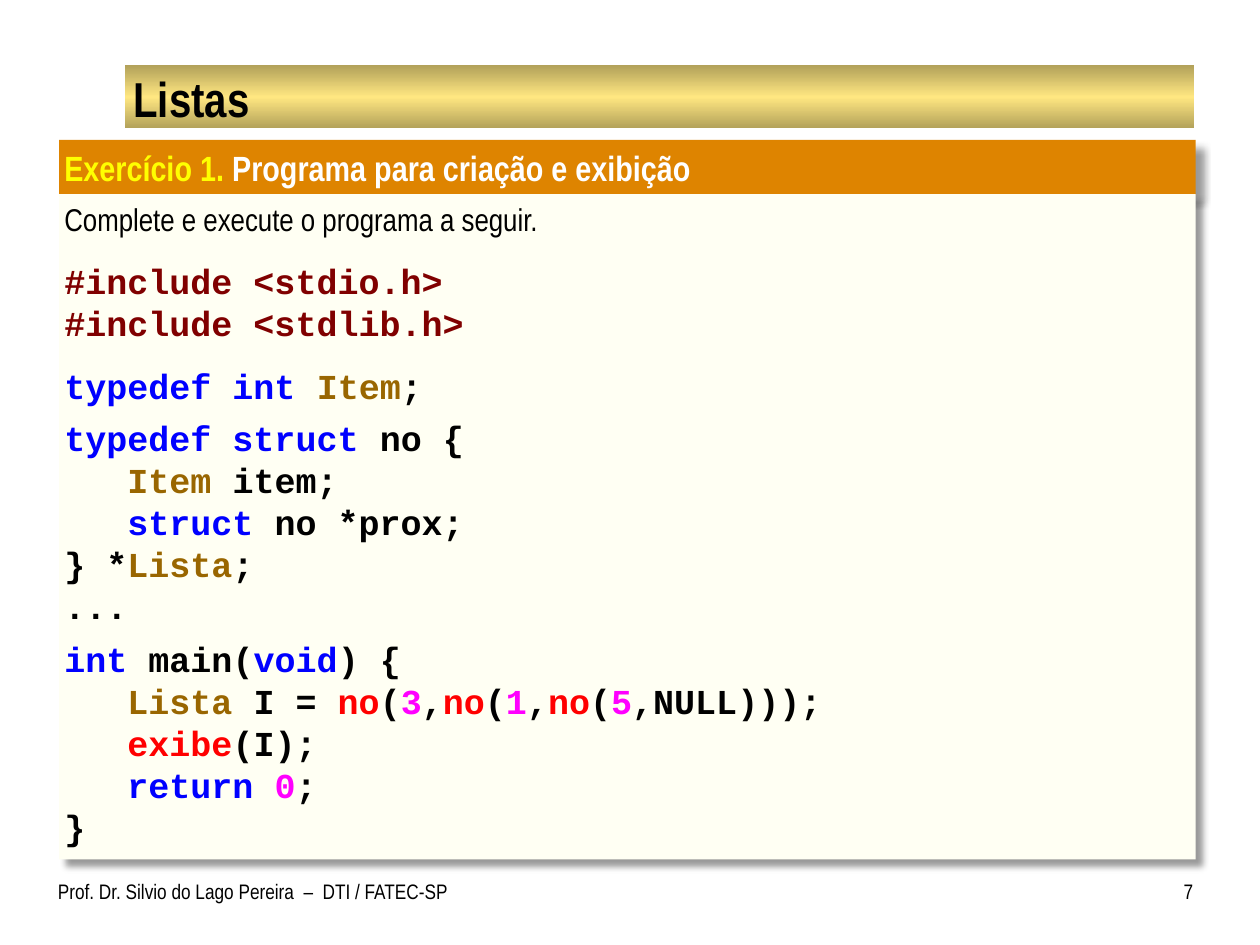
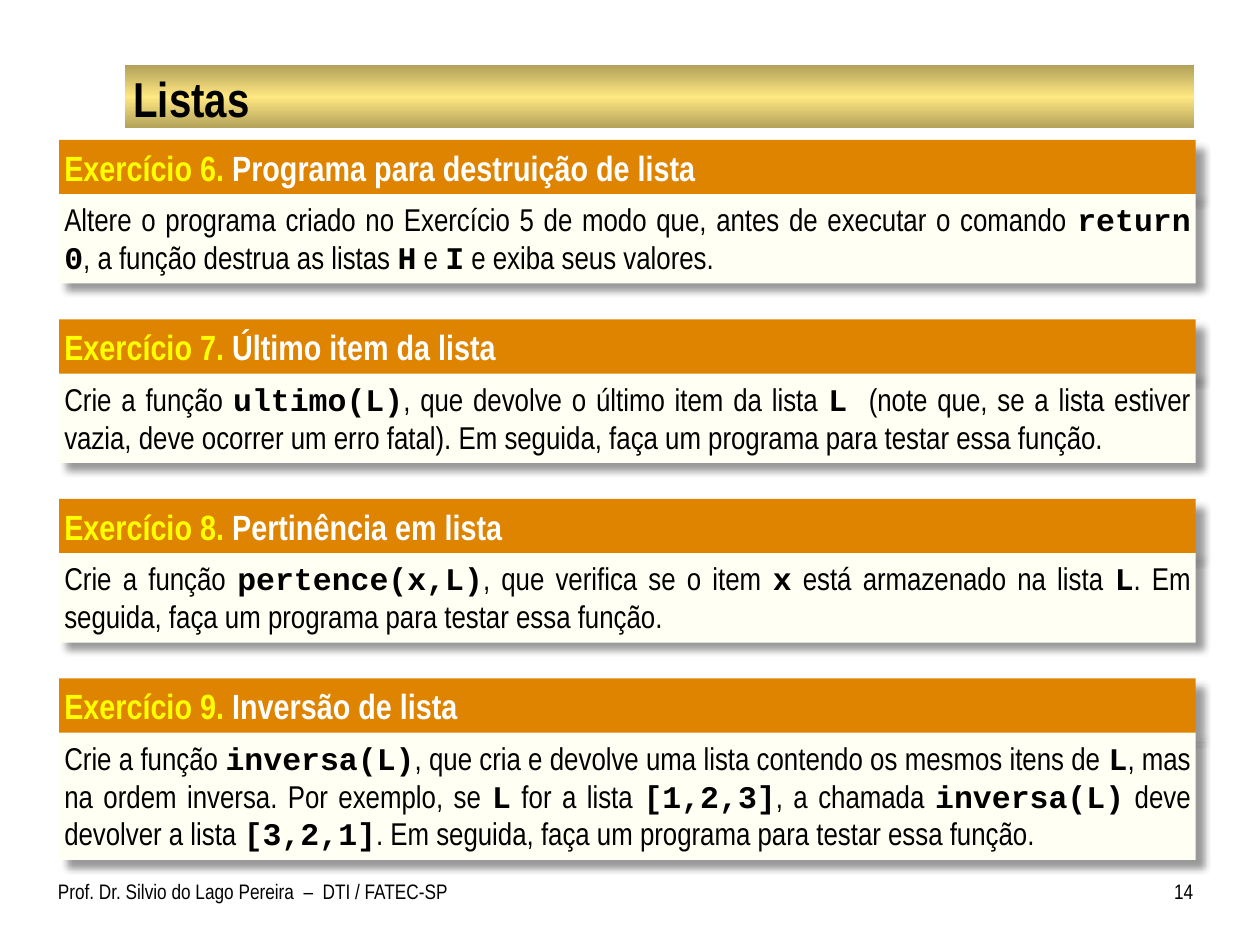
from dataclasses import dataclass

from lxml.etree import SubElement
from pptx import Presentation
from pptx.dml.color import RGBColor as RGB
from pptx.enum.shapes import MSO_SHAPE as SHAPE
from pptx.enum.text import MSO_ANCHOR as ANCHOR, MSO_AUTO_SIZE as AUTO, PP_ALIGN as ALIGN
from pptx.oxml import parse_xml
from pptx.oxml.ns import nsdecls, qn
from pptx.util import Inches, Pt


# Theme: colours, fonts and type sizes
@dataclass(frozen=True)
class Theme:
    sans: str = "Arial Narrow"
    mono: str = "Courier New"
    black: str = "000000"
    white: str = "FFFFFF"
    gold: str = "FFE781"
    orange: str = "DE8400"
    cream: str = "FFFFF3"
    yellow: str = "FFFF00"
    title: int = 28
    heading: int = 20
    code: int = 20
    body: int = 18
    footer: int = 12


T = Theme()

# Code colours by kind of token
SYNTAX = {"": T.black, "pre": "800000", "key": "0000FF", "type": "996600",
          "func": "FF0000", "num": "FF00FF"}

# Shared layout, in inches
LEFT, WIDTH = 0.47, 9.02
FIRST_TOP, PITCH = 1.11, 1.425
HEAD_H, HEAD_STEP = 0.44, 0.43
CODE_INDENT = 0.5
FOOTER_TOP, FOOTER_H = 6.92, 0.42


def style_run(size, color=T.black, font=T.sans, bold=False):
    return dict(size=Pt(size), name=font, bold=bold, color=color)


class Deck:
    """Holds the presentation and the current slide."""

    def __init__(self):
        self.prs = Presentation()
        self.prs.slide_width, self.prs.slide_height = Inches(10), Inches(7.5)
        self.s = None

    def slide(self, title, number):
        self.s = self.prs.slides.add_slide(self.prs.slide_layouts[6])
        self.band()
        self.label((1, 0.54, 8.47, 0.47), title, T.title, (0.06, 0.01, 0.06, 0.01),
                   bold=True, anchor=ANCHOR.MIDDLE)
        self.label((0.46, FOOTER_TOP, 3.27, FOOTER_H),
                   "Prof. Dr. Silvio do Lago Pereira  –  DTI / FATEC-SP",
                   T.footer, (0, 0.05, 0.1, 0.05))
        self.label((9.08, FOOTER_TOP, 0.39, FOOTER_H), str(number),
                   T.footer, (0.1, 0.05, 0, 0.05), align=ALIGN.RIGHT)

    def rect(self, shapes, box, color):
        sp = shapes.add_shape(SHAPE.RECTANGLE, *map(Inches, box))
        sp.shadow.inherit = False
        sp.line.fill.background()
        sp.fill.solid()
        sp.fill.fore_color.rgb = RGB.from_string(color)
        return sp

    def band(self):
        """Gold title band, shaded towards its top and bottom edges."""
        sp = self.rect(self.s.shapes, (0.99, 0.52, 8.49, 0.5), T.gold)
        sp.fill.gradient()
        sp.fill.gradient_angle = 90
        stops = sp._element.spPr.find(".//" + qn("a:gsLst"))
        for stop in list(stops):
            stops.remove(stop)
        edge = '<a:gamma/><a:shade val="70000"/><a:invGamma/>'
        for pos, change in ((0, edge), (50, ""), (100, edge)):
            stops.append(parse_xml(
                f'<a:gs {nsdecls("a")} pos="{pos * 1000}">'
                f'<a:srgbClr val="{T.gold}">{change}</a:srgbClr></a:gs>'))

    def drop_shadow(self, sp):
        effects = sp._element.spPr.find(qn("a:effectLst"))
        shadow = SubElement(effects, qn("a:outerShdw"), blurRad=str(Pt(4)),
                            dist=str(Pt(6)), dir=str(45 * 60000),
                            algn="tl", rotWithShape="0")
        color = SubElement(shadow, qn("a:srgbClr"), val=T.black)
        SubElement(color, qn("a:alpha"), val="40000")

    def frame(self, sp, insets, anchor=ANCHOR.TOP, auto=AUTO.NONE):
        tf = sp.text_frame
        sides = ("margin_left", "margin_top", "margin_right", "margin_bottom")
        formats = dict(zip(sides, map(Inches, insets)), word_wrap=True,
                       auto_size=auto, vertical_anchor=anchor)
        for name, value in formats.items():
            setattr(tf, name, value)
        return tf

    def paragraph(self, tf, runs, align=ALIGN.LEFT, before=0, indent=0):
        """Add one paragraph; runs are (text, style) pairs."""
        p = tf.paragraphs[0]
        if p.runs:
            p = tf.add_paragraph()
        p.alignment, p.space_before = align, Pt(before)
        if indent:
            p._p.get_or_add_pPr().set("marL", str(Inches(indent)))
        for text, style in runs:
            r = p.add_run()
            r.text = text
            for name, value in style.items():
                if name == "color":
                    r.font.color.rgb = RGB.from_string(value)
                else:
                    setattr(r.font, name, value)

    def label(self, box, text, size, insets, bold=False,
              align=ALIGN.LEFT, anchor=ANCHOR.TOP):
        sp = self.s.shapes.add_textbox(*map(Inches, box))
        tf = self.frame(sp, insets, anchor)
        self.paragraph(tf, [(text, style_run(size, bold=bold))], align)

    def panel(self, shapes, top, height, color, right):
        sp = self.rect(shapes, (LEFT, top, WIDTH, height), color)
        self.drop_shadow(sp)
        return self.frame(sp, (0.04, 0.05, right, 0.05), auto=AUTO.SHAPE_TO_FIT_TEXT)

    def exercise(self, number, title, text, height, row=0):
        """Heading bar over a body panel; `...` in the text marks inline code."""
        shapes = self.s.shapes.add_group_shape().shapes
        top = FIRST_TOP + row * PITCH
        head = self.panel(shapes, top, HEAD_H, T.orange, 0.1)
        self.paragraph(head, [
            (f"Exercício {number}.", style_run(T.heading, T.yellow, bold=True)),
            (f" {title}", style_run(T.heading, T.white, bold=True))])
        body = self.panel(shapes, top + HEAD_STEP, height, T.cream, 0.04)
        styles = style_run(T.body), style_run(T.body, font=T.mono, bold=True)
        runs = [(part, styles[i % 2]) for i, part in enumerate(text.split("`"))]
        self.paragraph(body, runs, ALIGN.JUSTIFY, before=6)
        return body

    def code(self, tf, lines):
        for before, level, *tokens in lines:
            runs = [(text, style_run(T.code, SYNTAX[kind], T.mono, True))
                    for kind, text in tokens]
            self.paragraph(tf, runs, before=before, indent=level * CODE_INDENT)


# Program listing: space before, indent level, then (kind, text) tokens
PROGRAM = [
    (12, 0, ("pre", "#include <stdio.h>")),
    (0, 0, ("pre", "#include <stdlib.h>")),
    (12, 0, ("key", "typedef int "), ("type", "Item"), ("", ";")),
    (6, 0, ("key", "typedef struct"), ("", " no {")),
    (0, 1, ("type", "Item "), ("", "item;")),
    (0, 1, ("key", "struct"), ("", " no *prox;")),
    (0, 0, ("", "} *"), ("type", "Lista"), ("", ";")),
    (0, 0, ("", "...")),
    (6, 0, ("key", "int"), ("", " main("), ("key", "void"), ("", ") {")),
    (0, 1, ("type", "Lista"), ("", " I = "),
     ("func", "no"), ("", "("), ("num", "3"), ("", ","),
     ("func", "no"), ("", "("), ("num", "1"), ("", ","),
     ("func", "no"), ("", "("), ("num", "5"), ("", ",NULL)));")),
    (0, 1, ("func", "exibe"), ("", "(I);")),
    (0, 1, ("key", "return "), ("num", "0"), ("", ";")),
    (0, 0, ("", "}")),
]

# Exercises of the second slide: title, text, body height
EXERCISES = [
    ("Programa para destruição de lista",
     "Altere o programa criado no Exercício 5 de modo que, antes de executar o "
     "comando `return 0`, a função destrua as listas `H` e `I` e exiba seus valores.",
     0.71),
    ("Último item da lista",
     "Crie a função `ultimo(L)`, que devolve o último item da lista `L `(note que, "
     "se a lista estiver vazia, deve ocorrer um erro fatal). Em seguida, faça um "
     "programa para testar essa função.", 0.71),
    ("Pertinência em lista",
     "Crie a função `pertence(x,L)`, que verifica se o item `x` está armazenado na "
     "lista `L`. Em seguida, faça um programa para testar essa função.", 0.71),
    ("Inversão de lista",
     "Crie a função `inversa(L)`, que cria e devolve uma lista contendo os mesmos "
     "itens de `L`, mas na ordem inversa. Por exemplo, se `L` for a lista `[1,2,3]`, "
     "a chamada `inversa(L)` deve devolver a lista `[3,2,1]`. Em seguida, faça um "
     "programa para testar essa função.", 1.01),
]

deck = Deck()

# Slide with the program to complete
deck.slide("Listas", 7)
body = deck.exercise(1, "Programa para criação e exibição",
                     "Complete e execute o programa a seguir.", 5.28)
deck.code(body, PROGRAM)

# Slide with four exercises
deck.slide("Listas", 14)
for row, (title, text, height) in enumerate(EXERCISES):
    deck.exercise(6 + row, title, text, height, row)

deck.prs.save("out.pptx")
